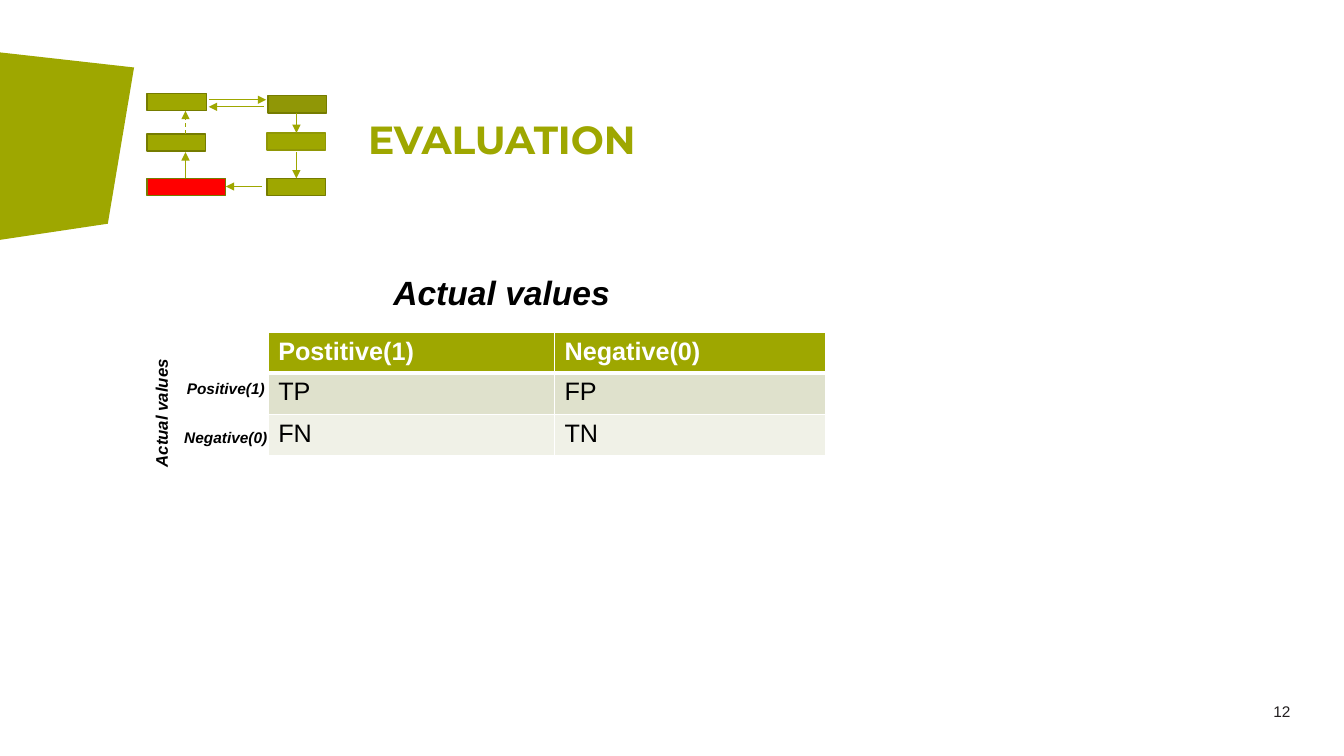
from pptx import Presentation
from pptx.dml.color import RGBColor
from pptx.enum.dml import MSO_LINE as Dash
from pptx.enum.shapes import MSO_CONNECTOR as Conn, MSO_SHAPE as Shape
from pptx.enum.text import MSO_ANCHOR as Anchor, PP_ALIGN as Align
from pptx.oxml import parse_xml
from pptx.oxml.ns import nsdecls
from pptx.util import Pt
from lxml.etree import SubElement

PX = 9144
GREEN, OLIVE, DARK, RED = "9EA700", "909706", "757C00", "FF0000"
BLACK, WHITE = "000000", "FFFFFF"


def color(code):
    return RGBColor.from_string(code)


def write(frame, text, size, code, bold=False, italic=False,
          align=Align.LEFT, face="Arial"):
    para = frame.paragraphs[0]
    para.alignment = align
    run = para.add_run()
    run.text = text
    font = run.font
    font.name, font.size = face, Pt(size)
    font.bold, font.italic = bold, italic
    font.color.rgb = color(code)
    return para


deck = Presentation()
deck.slide_width, deck.slide_height = 1333 * PX, 750 * PX
slide = deck.slides.add_slide(deck.slide_layouts[5])
shapes = slide.shapes

pen = shapes.build_freeform(0, 52, scale=PX)
pen.add_line_segments([(0, 238), (107, 222), (133, 67)], close=True)
flag = pen.convert_to_shape()
flag.shadow.inherit = False
flag.fill.solid()
flag.fill.fore_color.rgb = color(GREEN)
flag.line.fill.background()

title = shapes.title
title.left, title.top = 365 * PX, 115 * PX
title.width, title.height = 293 * PX, 47 * PX
frame = title.text_frame
frame.word_wrap = True
frame.vertical_anchor = Anchor.BOTTOM
frame.margin_left = frame.margin_right = frame.margin_bottom = 0
frame.margin_top = 4 * PX
write(frame, "EVALUATION", 28, GREEN, True, face="Montserrat").line_spacing = 0.9

steps = [
    (146, 93, 59, GREEN, DARK),
    (266, 95, 58, OLIVE, DARK),
    (265, 132, 58, GREEN, OLIVE),
    (265, 177, 58, GREEN, DARK),
    (146, 177, 78, RED, DARK),
    (146, 133, 58, GREEN, DARK),
]
for x, y, wide, fill, edge in steps:
    step = shapes.add_shape(Shape.RECTANGLE, x * PX, y * PX, wide * PX, 17 * PX)
    step.shadow.inherit = False
    step.fill.solid()
    step.fill.fore_color.rgb = color(fill)
    step.line.color.rgb = color(edge)
    step.line.width = Pt(1)

arrows = [
    (207, 99, 264, 99, False),
    (262, 106, 207, 106, False),
    (294, 112, 294, 132, False),
    (294, 151, 294, 177, False),
    (260, 185, 224, 185, False),
    (184, 177, 184, 151, False),
    (184, 133, 184, 110, True),
]
for x1, y1, x2, y2, dashed in arrows:
    arrow = shapes.add_connector(Conn.STRAIGHT, x1 * PX, y1 * PX, x2 * PX, y2 * PX)
    line = arrow.line
    line.color.rgb = color(GREEN)
    line.width = Pt(0.75 if dashed else 0.5)
    if dashed:
        line.dash_style = Dash.DASH
    props = arrow.element.spPr
    props.ln.append(parse_xml(f'<a:tailEnd {nsdecls("a")} type="triangle"/>'))
    SubElement(props, props.ln.tag[:-2] + "effectLst")

rows = [
    ("Postitive(1)", "Negative(0)", GREEN),
    ("TP", "FP", "DFE1CC"),
    ("FN", "TN", "F0F1E7"),
]
table = shapes.add_table(3, 2, 266 * PX, 330 * PX, 553 * PX, 121 * PX).table
for col, wide in zip(table.columns, (284, 269)):
    col.width = wide * PX
for row, high in zip(table.rows, (40, 41, 41)):
    row.height = high * PX
for r, (left, right, fill) in enumerate(rows):
    head = r == 0
    for c, text in enumerate((left, right)):
        cell = table.cell(r, c)
        props = cell._tc.get_or_add_tcPr()
        for side in "LRTB":
            thick = (head and side == "B") or (r == 1 and side == "T")
            props.append(parse_xml(
                f'<a:ln{side} {nsdecls("a")} w="{Pt(3 if thick else 1)}">'
                f'<a:solidFill><a:srgbClr val="{WHITE}"/></a:solidFill></a:ln{side}>'))
        cell.fill.solid()
        cell.fill.fore_color.rgb = color(fill)
        write(cell.text_frame, text, 18, WHITE if head else BLACK, head)

labels = [
    ("Actual values", 314, 265, 367, 50, 24, 0),
    ("Positive(1)", 158, 371, 132, 29, 11, 0),
    ("Negative(0)", 158, 420, 132, 29, 11, 0),
    ("Actual values", 95, 395, 130, 30, 12, 270),
]
for text, x, y, wide, high, size, turn in labels:
    label = shapes.add_textbox(x * PX, y * PX, wide * PX, high * PX)
    label.rotation = turn
    label.text_frame.word_wrap = True
    write(label.text_frame, text, size, BLACK, True, True, Align.CENTER)

number = shapes.add_textbox(1217 * PX, 695 * PX, 63 * PX, 18 * PX)
frame = number.text_frame
frame.word_wrap = True
frame.margin_left = frame.margin_right = frame.margin_top = frame.margin_bottom = 0
write(frame, "12", 11, "231F20", align=Align.RIGHT).line_spacing = Pt(14.2)

deck.save("out.pptx")
